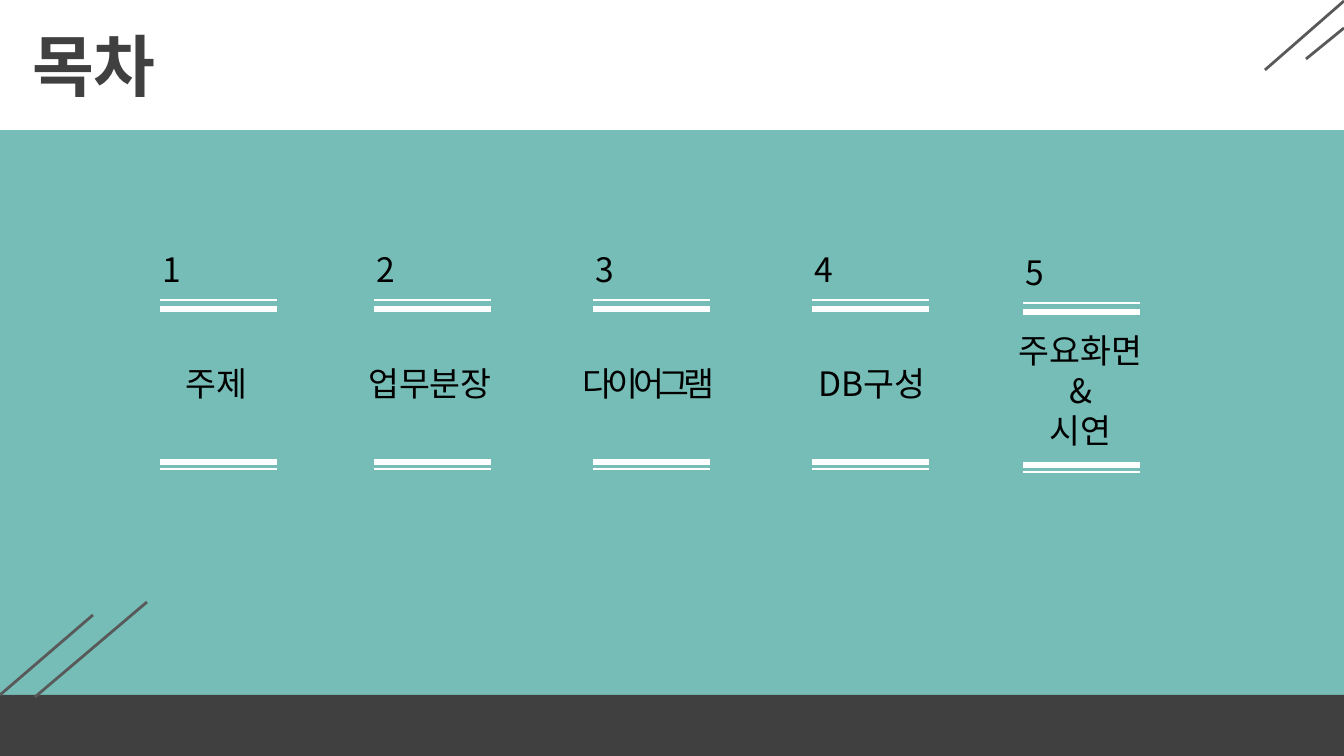
"""Builds the five-column contents slide."""
from dataclasses import dataclass

from lxml import etree
from pptx import Presentation
from pptx.dml.color import RGBColor
from pptx.enum.shapes import MSO_CONNECTOR, MSO_SHAPE
from pptx.enum.text import MSO_ANCHOR, MSO_AUTO_SIZE, PP_ALIGN
from pptx.oxml.ns import qn
from pptx.util import Pt

STRAIGHT = MSO_CONNECTOR.STRAIGHT
RECTANGLE = MSO_SHAPE.RECTANGLE
MIDDLE = MSO_ANCHOR.MIDDLE
GROW = MSO_AUTO_SIZE.SHAPE_TO_FIT_TEXT
LEFT, CENTER = PP_ALIGN.LEFT, PP_ALIGN.CENTER
EMU_PER_PX = 914400 / 134.4


@dataclass(frozen=True)
class Theme:
    teal: RGBColor = RGBColor.from_string("76BDB7")
    white: RGBColor = RGBColor.from_string("FFFFFF")
    black: RGBColor = RGBColor.from_string("000000")
    dark: RGBColor = RGBColor.from_string("404040")
    stroke: RGBColor = RGBColor.from_string("595959")
    title_font: str = "Arial"
    text_font: str = "Noto Sans CJK KR"
    title_size: int = 36
    text_size: int = 18


theme = Theme()


def px(*lengths):
    return [round(length * EMU_PER_PX) for length in lengths]


def add_line(points, color, width):
    line = slide.shapes.add_connector(STRAIGHT, *px(*points))
    line.line.color.rgb = color
    line.line.width = Pt(width)
    etree.SubElement(line._element.spPr, qn("a:effectLst"))


presentation = Presentation()
presentation.slide_width, presentation.slide_height = px(1344, 756)
slide = presentation.slides.add_slide(presentation.slide_layouts[5])
slide.background.fill.solid()
slide.background.fill.fore_color.rgb = theme.teal

for top, height, color in [(0, 130, theme.white), (695, 61, theme.dark)]:
    band = slide.shapes.add_shape(RECTANGLE, *px(0, top, 1344, height))
    band.shadow.inherit = False
    band.fill.solid()
    band.fill.fore_color.rgb = color
    band.line.fill.background()

for points in [
    (93, 615, 0, 695),
    (147, 602, 35, 697),
    (1344, 1, 1265, 70),
    (1344, 28, 1306, 59),
]:
    add_line(points, theme.stroke, 1.5)

title = slide.shapes.title
slide.shapes._spTree.append(title._element)
title.left, title.top, title.width, title.height = px(0, 0, 1344, 130)
title.text_frame.text = "목차"
title.text_frame.vertical_anchor = MIDDLE
title.text_frame.margin_left = px(32)[0]
paragraph = title.text_frame.paragraphs[0]
paragraph.alignment = LEFT
paragraph.font.name = theme.title_font
paragraph.font.size = Pt(theme.title_size)
paragraph.font.bold = True
paragraph.font.color.rgb = theme.dark

columns = [
    (160, 0, "주제", (172, 356, 169, 54), LEFT),
    (374, 0, "업무분장", (355, 356, 169, 54), LEFT),
    (593, 0, "다이어그램", (564, 356, 169, 54), CENTER),
    (812, 0, "DB구성", (805, 356, 169, 54), LEFT),
    (1023, 3, "주요화면 &\n시연", (996, 323, 169, 136), CENTER),
]
for number, (left, drop, label, label_box, label_alignment) in enumerate(columns, 1):
    for top, width in [(300, 0.75), (309, 3), (462, 3), (469, 0.75)]:
        add_line((left, top + drop, left + 117, top + drop), theme.white, width)

    number_box = (left - 11, 242 + drop, 169, 54)
    for text, box, alignment in [
        (str(number), number_box, LEFT),
        (label, label_box, label_alignment),
    ]:
        frame = slide.shapes.add_textbox(*px(*box)).text_frame
        frame.word_wrap = True
        frame.auto_size = GROW
        frame.text = text
        for paragraph in frame.paragraphs:
            paragraph.alignment = alignment
            for run in paragraph.runs:
                run.font.name = theme.text_font
                run.font.size = Pt(theme.text_size)
                run.font.color.rgb = theme.black
                properties = run.font._element
                east_asian = etree.SubElement(properties, qn("a:ea"))
                east_asian.set("typeface", theme.text_font)
                if text == "다이어그램":
                    properties.set("spc", "-300")

presentation.save("out.pptx")
